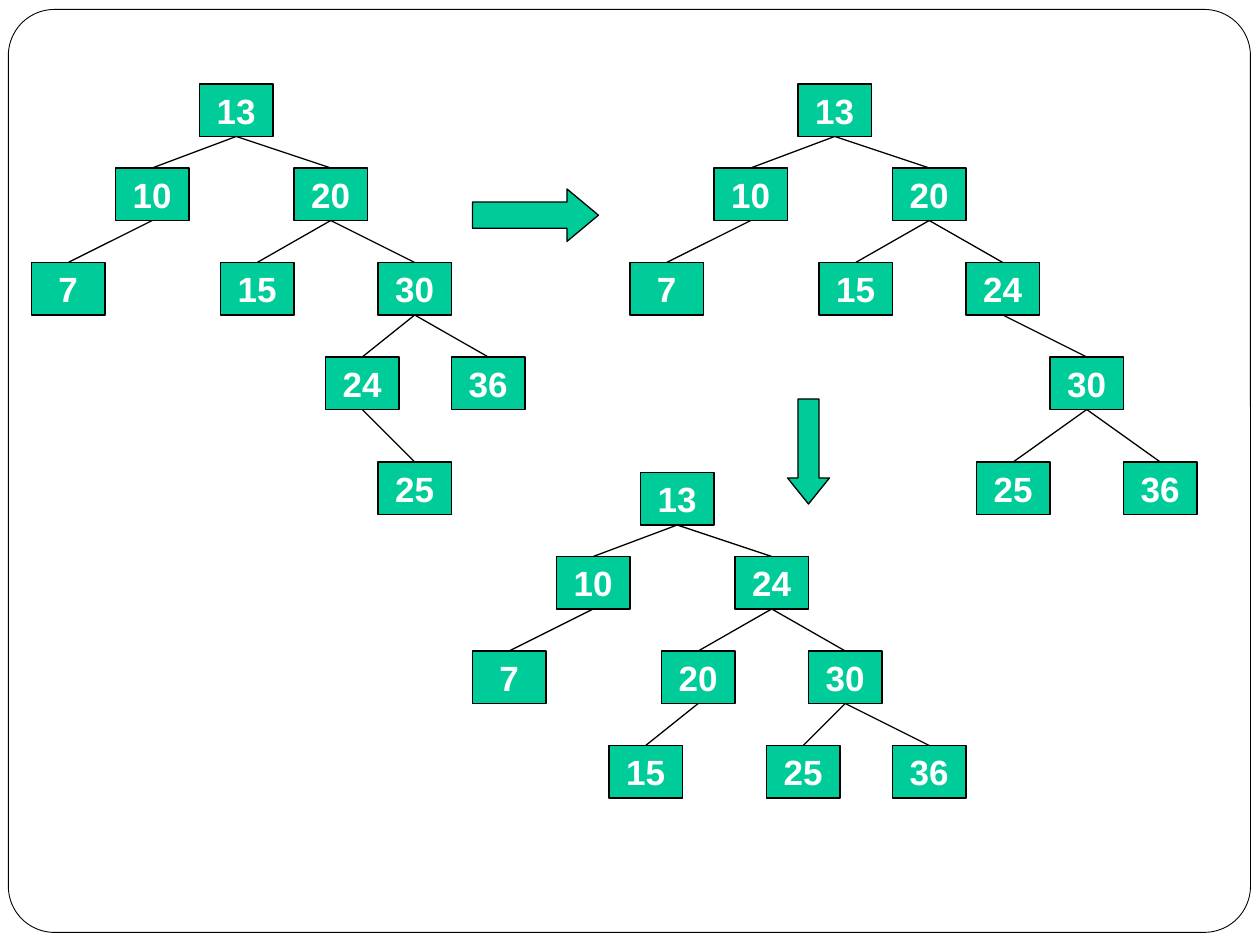
from typing import NamedTuple, Optional

from lxml.etree import SubElement
from pptx import Presentation
from pptx.dml.color import RGBColor
from pptx.enum.shapes import MSO_CONNECTOR, MSO_SHAPE
from pptx.enum.text import MSO_ANCHOR, PP_ALIGN
from pptx.oxml.ns import qn
from pptx.util import Pt

PX = 7620  # EMU per px, 120 px to the inch
GREEN = RGBColor(0x00, 0xCC, 0x99)
BLACK = RGBColor(0x00, 0x00, 0x00)
WHITE = RGBColor(0xFF, 0xFF, 0xFF)

NODE_WIDTH, NODE_HEIGHT = 70, 50
LEVEL_TOPS = (0, 80, 170, 260, 360)
LABEL_FORMAT = {"name": "Arial", "size": Pt(20), "bold": True}


class Node(NamedTuple):
    key: int
    left: int
    level: int
    parent: Optional[int] = None


class Tree(NamedTuple):
    left: int
    top: int
    nodes: tuple[Node, ...]


class Arrow(NamedTuple):
    kind: MSO_SHAPE
    box: tuple[int, int, int, int]
    head: float


# Every tree shares the root and its left branch
LEFT_BRANCH = (Node(13, 160, 0), Node(10, 80, 1, 13), Node(7, 0, 2, 10))

TREES = (
    # Unbalanced tree
    Tree(30, 80, LEFT_BRANCH + (
        Node(20, 250, 1, 13), Node(15, 180, 2, 20), Node(30, 330, 2, 20),
        Node(24, 280, 3, 30), Node(36, 400, 3, 30), Node(25, 330, 4, 24),
    )),
    # After the right rotation
    Tree(600, 80, LEFT_BRANCH + (
        Node(20, 250, 1, 13), Node(15, 180, 2, 20), Node(24, 320, 2, 20),
        Node(30, 400, 3, 24), Node(25, 330, 4, 30), Node(36, 470, 4, 30),
    )),
    # After the left rotation
    Tree(450, 450, LEFT_BRANCH + (
        Node(24, 250, 1, 13), Node(20, 180, 2, 24), Node(30, 320, 2, 24),
        Node(15, 130, 3, 20), Node(25, 280, 3, 30), Node(36, 400, 3, 30),
    )),
)

ARROWS = (
    Arrow(MSO_SHAPE.RIGHT_ARROW, (450, 180, 120, 50), 0.6),
    Arrow(MSO_SHAPE.DOWN_ARROW, (750, 380, 40, 100), 0.62),
)


def add_outlined(slide, kind: MSO_SHAPE, box: tuple[int, int, int, int],
                 fill: Optional[RGBColor] = GREEN, line_width: float = 0.75):
    shape = slide.shapes.add_shape(kind, *(value * PX for value in box))
    shape.shadow.inherit = False
    if fill is None:
        shape.fill.background()
    else:
        shape.fill.solid()
        shape.fill.fore_color.rgb = fill
    shape.line.color.rgb = BLACK
    shape.line.width = Pt(line_width)
    return shape


def add_node(slide, tree: Tree, node: Node) -> None:
    box = (tree.left + node.left, tree.top + LEVEL_TOPS[node.level],
           NODE_WIDTH, NODE_HEIGHT)
    frame = add_outlined(slide, MSO_SHAPE.RECTANGLE, box).text_frame
    frame.word_wrap = False
    frame.vertical_anchor = MSO_ANCHOR.MIDDLE
    paragraph = frame.paragraphs[0]
    paragraph.alignment = PP_ALIGN.CENTER
    run = paragraph.add_run()
    run.text = str(node.key)
    for name, value in LABEL_FORMAT.items():
        setattr(run.font, name, value)
    run.font.color.rgb = WHITE


def add_edge(slide, tree: Tree, parent: Node, child: Node) -> None:
    center = tree.left + NODE_WIDTH // 2
    ends = (center + parent.left,
            tree.top + LEVEL_TOPS[parent.level] + NODE_HEIGHT,
            center + child.left,
            tree.top + LEVEL_TOPS[child.level])
    connector = slide.shapes.add_connector(
        MSO_CONNECTOR.STRAIGHT, *(value * PX for value in ends))
    connector.line.color.rgb = BLACK
    connector.line.width = Pt(0.75)
    SubElement(connector._element.spPr, qn("a:effectLst"))


def add_tree(slide, tree: Tree) -> None:
    by_key = {node.key: node for node in tree.nodes}
    for node in tree.nodes:
        add_node(slide, tree, node)
        if node.parent is not None:
            add_edge(slide, tree, by_key[node.parent], node)


def main() -> None:
    presentation = Presentation()
    presentation.slide_width = 1200 * PX
    presentation.slide_height = 900 * PX
    slide = presentation.slides.add_slide(presentation.slide_layouts[6])

    # Rounded frame
    frame = add_outlined(slide, MSO_SHAPE.ROUNDED_RECTANGLE,
                         (8, 9, 1183, 879), fill=None, line_width=0.5)
    frame.adjustments[0] = 0.05

    # Trees and the steps between them
    for tree in TREES:
        add_tree(slide, tree)
    for arrow in ARROWS:
        shape = add_outlined(slide, arrow.kind, arrow.box)
        shape.adjustments[0] = 0.5
        shape.adjustments[1] = arrow.head

    presentation.save("out.pptx")


if __name__ == "__main__":
    main()
